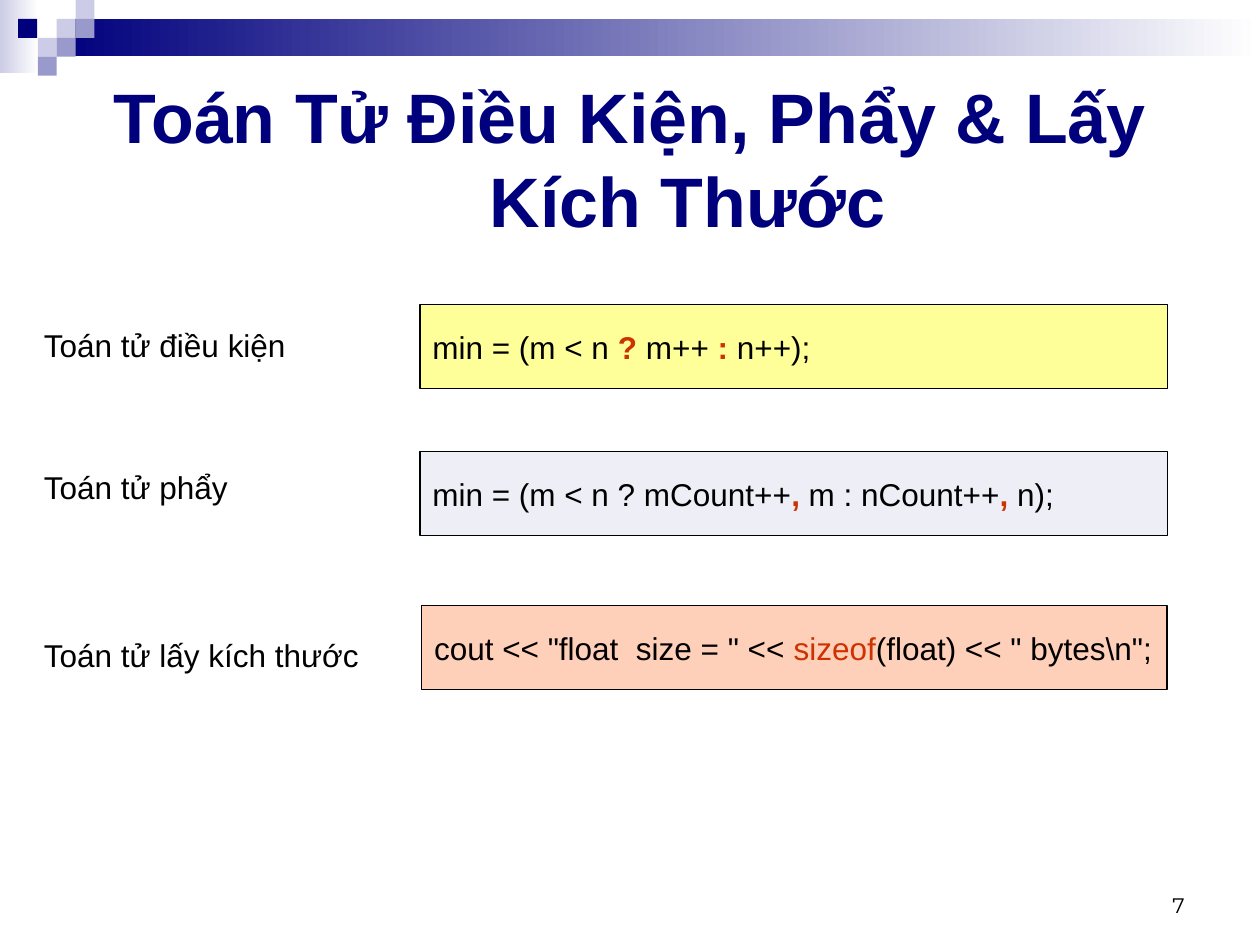
from dataclasses import dataclass

from pptx import Presentation
from pptx.dml.color import RGBColor
from pptx.enum.shapes import MSO_SHAPE as Preset
from pptx.enum.text import MSO_ANCHOR as Anchor, PP_ALIGN as Align
from pptx.util import Pt


@dataclass(frozen=True)
class Theme:
    navy: str = "00007D"
    violet: str = "9999CC"
    lilac: str = "CCCCE6"
    white: str = "FFFFFF"
    ink: str = "000000"
    accent: str = "CC3300"
    font: str = "Arial"
    number_font: str = "Montserrat"
    title_size: float = 40
    body_size: float = 18
    number_size: float = 12


@dataclass(frozen=True)
class Box:
    left: float
    top: float
    width: float
    height: float

    def lengths(self) -> tuple:
        return Pt(self.left), Pt(self.top), Pt(self.width), Pt(self.height)


@dataclass(frozen=True)
class Piece:
    text: str
    accent: bool = False
    bold: bool = False


@dataclass(frozen=True)
class Operator:
    label: str
    label_box: Box
    code: tuple[Piece, ...]
    code_box: Box
    fill: str


THEME = Theme()
TILE = 10.8

TILES = (
    (32.4, 10.8, THEME.lilac),
    (43.2, 0, THEME.lilac),
    (43.2, 10.8, THEME.violet),
    (21.6, 21.6, THEME.lilac),
    (10.4, 10.8, THEME.navy),
    (32.4, 21.6, THEME.violet),
    (21.6, 32.4, THEME.violet),
)

OPERATORS = (
    Operator(
        "Toán tử điều kiện", Box(18, 183, 228, 29),
        (Piece("min = (m < n "), Piece("?", True, True), Piece(" m++ "),
         Piece(":", True, True), Piece(" n++);")),
        Box(240, 174, 427, 48), "FFFF99"),
    Operator(
        "Toán tử phẩy", Box(18, 264, 150, 29),
        (Piece("min = (m < n ? mCount++"), Piece(",", True, True),
         Piece(" m : nCount++"), Piece(",", True, True), Piece(" n);")),
        Box(240, 258, 427, 48), "EEEEF6"),
    Operator(
        "Toán tử lấy kích thước", Box(18, 360, 240, 29),
        (Piece('cout << "float  size = " << '), Piece("sizeof", True),
         Piece('(float) << " bytes\\n";')),
        Box(241, 346, 426, 48), "FFD0B9"),
)


def color(value: str) -> RGBColor:
    return RGBColor.from_string(value)


def style(paragraph, size: float, ink: str = THEME.ink, font: str = THEME.font) -> None:
    paragraph.font.name = font
    paragraph.font.size = Pt(size)
    paragraph.font.color.rgb = color(ink)


def add_rectangle(slide, box: Box):
    shape = slide.shapes.add_shape(Preset.RECTANGLE, *box.lengths())
    shape.shadow.inherit = False
    shape.line.fill.background()
    return shape


def add_solid(slide, box: Box, fill: str):
    shape = add_rectangle(slide, box)
    shape.fill.solid()
    shape.fill.fore_color.rgb = color(fill)
    return shape


def add_gradient(slide, box: Box, start: str) -> None:
    """Fade from the start colour at the left to white at the right."""
    fill = add_rectangle(slide, box).fill
    fill.gradient()
    fill.gradient_angle = 0
    for stop, value in zip(fill.gradient_stops, (start, THEME.white)):
        stop.color.rgb = color(value)


def add_text(slide, box: Box, text: str, size: float, font: str = THEME.font,
             align: Align = Align.LEFT, anchor: Anchor = Anchor.TOP) -> None:
    frame = slide.shapes.add_textbox(*box.lengths()).text_frame
    frame.word_wrap = True
    frame.vertical_anchor = anchor
    paragraph = frame.paragraphs[0]
    paragraph.text = text
    paragraph.alignment = align
    style(paragraph, size, font=font)


def add_code(slide, operator: Operator) -> None:
    shape = add_solid(slide, operator.code_box, operator.fill)
    shape.line.color.rgb = color(THEME.ink)
    shape.line.width = Pt(0.75)
    frame = shape.text_frame
    frame.word_wrap = False
    frame.vertical_anchor = Anchor.MIDDLE
    paragraph = frame.paragraphs[0]
    paragraph.alignment = Align.LEFT
    style(paragraph, THEME.body_size)
    for piece in operator.code:
        run = paragraph.add_run()
        run.text = piece.text
        run.font.bold = piece.bold
        run.font.color.rgb = color(THEME.accent if piece.accent else THEME.ink)


def set_title(slide, text: str) -> None:
    title = slide.shapes.title
    title.left, title.top, title.width, title.height = Box(36, 36, 648, 108).lengths()
    frame = title.text_frame
    frame.word_wrap = True
    frame.vertical_anchor = Anchor.MIDDLE
    paragraph = frame.paragraphs[0]
    paragraph.text = text
    paragraph.alignment = Align.CENTER
    style(paragraph, THEME.title_size, THEME.navy)
    paragraph.font.bold = True
    # Hanging indent
    properties = paragraph._p.get_or_add_pPr()
    properties.set("marL", str(Pt(66)))
    properties.set("indent", str(-Pt(66)))


def main() -> None:
    presentation = Presentation()
    presentation.slide_width, presentation.slide_height = Pt(720), Pt(540)
    slide = presentation.slides.add_slide(presentation.slide_layouts[5])

    # Header band and tiles
    add_gradient(slide, Box(0, 0, 22, 42), THEME.lilac)
    add_gradient(slide, Box(32.4, 10.8, 687.6, 21.4), THEME.navy)
    for left, top, fill in TILES:
        add_solid(slide, Box(left, top, TILE, TILE), fill)

    set_title(slide, "Toán Tử Điều Kiện, Phẩy & Lấy Kích Thước")

    # Operators with their examples
    for operator in OPERATORS:
        add_code(slide, operator)
        add_text(slide, operator.label_box, operator.label, THEME.body_size)

    # Slide number
    add_text(slide, Box(516, 492, 168, 36), "7", THEME.number_size,
             THEME.number_font, Align.RIGHT, Anchor.BOTTOM)

    presentation.save("out.pptx")


if __name__ == "__main__":
    main()
